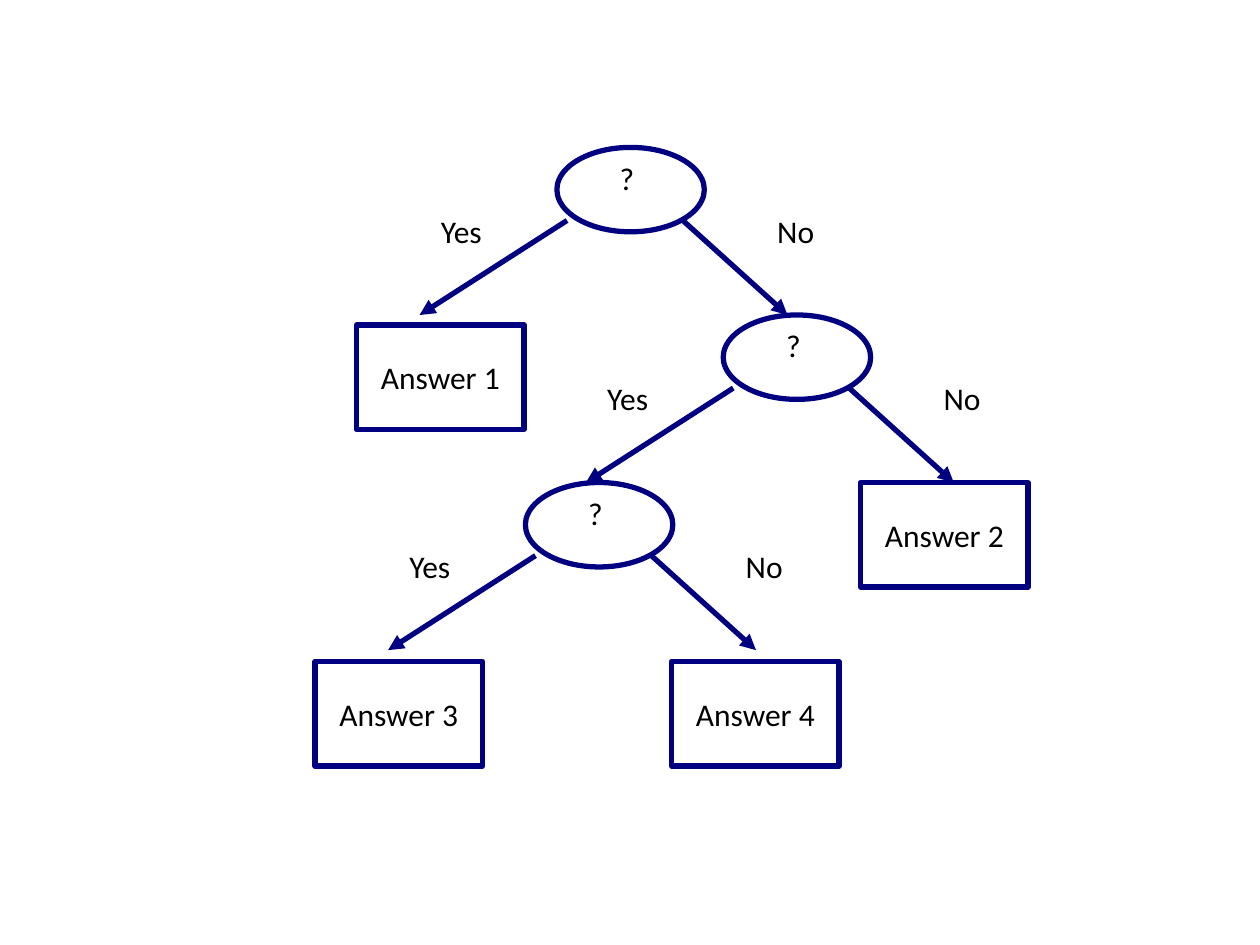
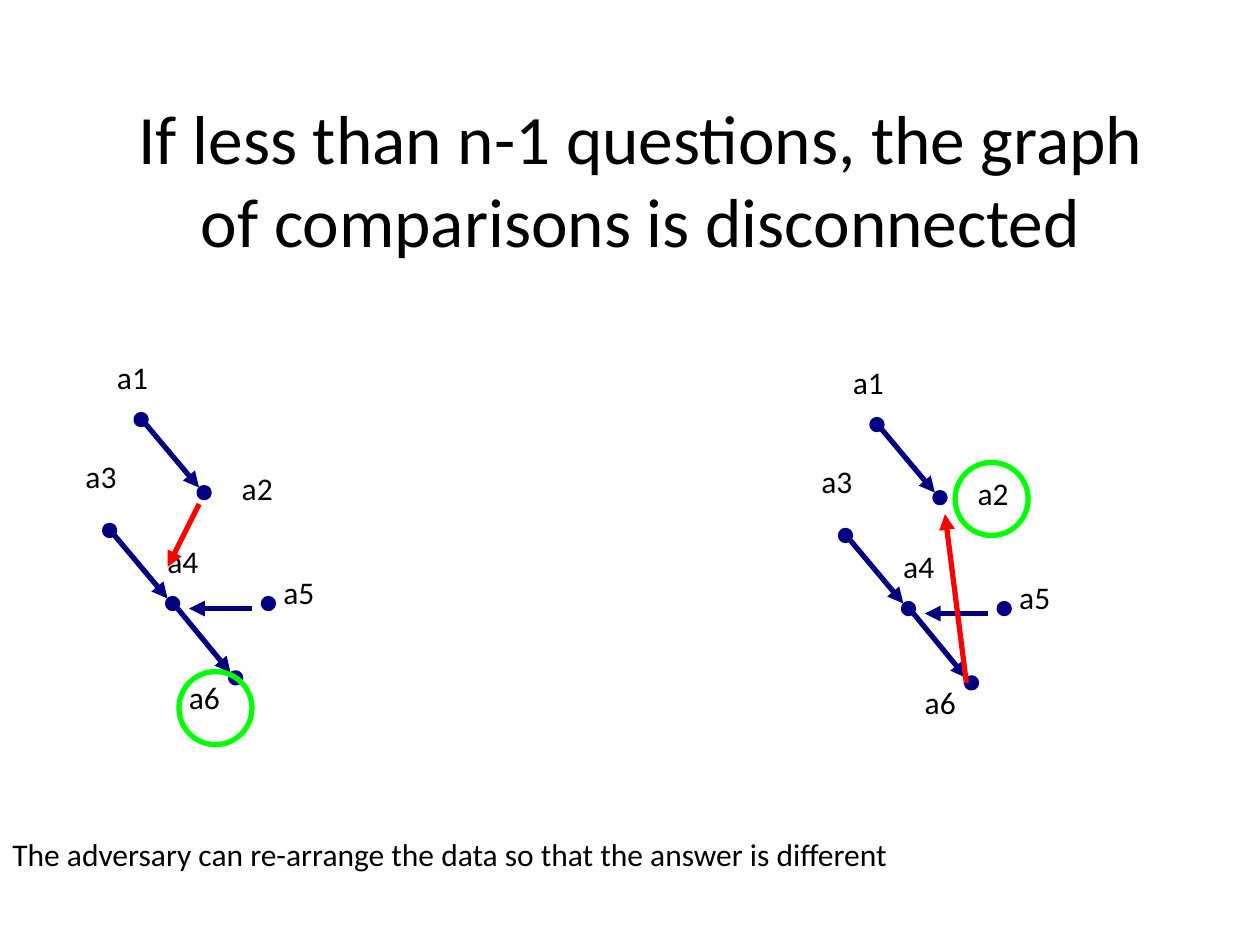
"""Build two slides: a decision tree and a pair of disconnected comparison graphs."""
from lxml.etree import SubElement
from pptx import Presentation
from pptx.dml.color import RGBColor
from pptx.enum.shapes import MSO_CONNECTOR, MSO_SHAPE
from pptx.enum.text import MSO_ANCHOR, MSO_AUTO_SIZE, PP_ALIGN
from pptx.oxml.ns import qn
from pptx.util import Inches, Pt

NAVY, RED, GREEN, BLACK = "000080", "FF0000", "00FF00", "000000"
STROKE = Pt(3)
BODY_FONT = {"name": "Calibri", "size": Pt(18)}
TITLE_FONT = {"name": "Calibri", "size": Pt(39.6)}
LABEL_FRAME = {"word_wrap": False, "auto_size": MSO_AUTO_SIZE.SHAPE_TO_FIT_TEXT}
CAPTION_FRAME = {"word_wrap": True, "auto_size": MSO_AUTO_SIZE.SHAPE_TO_FIT_TEXT}
BOX_FRAME = {"word_wrap": False, "vertical_anchor": MSO_ANCHOR.MIDDLE}
TITLE_FRAME = {"word_wrap": True, "auto_size": MSO_AUTO_SIZE.NONE,
               "vertical_anchor": MSO_ANCHOR.MIDDLE}


def write(part, text, frame_format, font_format=BODY_FONT, align=PP_ALIGN.LEFT):
    """Put formatted text into a shape, text box or placeholder."""
    frame = part.text_frame
    frame.text = text
    paragraph = frame.paragraphs[0]
    paragraph.alignment = align
    for target, formats in ((frame, frame_format), (paragraph.font, font_format)):
        for attribute, value in formats.items():
            setattr(target, attribute, value)
    paragraph.font.color.rgb = RGBColor.from_string(BLACK)


def draw(slide, kind, start, extent, colour=NAVY, filled=False):
    """Draw an outlined shape of a given size, or an arrow to a given point if kind is None."""
    corners = [Inches(value) for value in (*start, *extent)]
    if kind is None:
        part = slide.shapes.add_connector(MSO_CONNECTOR.STRAIGHT, *corners)
    else:
        part = slide.shapes.add_shape(kind, *corners)
        part.shadow.inherit = False
        if filled:
            part.fill.solid()
            part.fill.fore_color.rgb = RGBColor.from_string(colour)
        else:
            part.fill.background()
    part.line.color.rgb = RGBColor.from_string(colour)
    part.line.width = STROKE
    if kind is None:
        properties = part._element.spPr
        SubElement(properties.find(qn("a:ln")), qn("a:tailEnd"), type="triangle")
        SubElement(properties, qn("a:effectLst"))
    return part


deck = Presentation()
deck.slide_width, deck.slide_height = Inches(10), Inches(7.5)

tree = deck.slides.add_slide(deck.slide_layouts[6])
branches = [((0.08, 0.58), (-1.09, 1.33)), ((1, 0.58), (1.83, 1.33))]
branch_labels = [("?", 0.4, 0.04, 0.35), ("Yes", -1.02, 0.46, 0.72), ("No", 1.65, 0.46, 0.61)]
for x, y in [(4.42, 1.17), (4.17, 3.83), (5.74, 2.5)]:
    draw(tree, MSO_SHAPE.OVAL, (x, y), (1.17, 0.67))
    for (x1, y1), (x2, y2) in branches:
        draw(tree, None, (x + x1, y + y1), (x + x2, y + y2))
    for text, dx, dy, width in branch_labels:
        label = tree.shapes.add_textbox(Inches(x + dx), Inches(y + dy), Inches(width), Inches(0.5))
        write(label, text, LABEL_FRAME)

answers = [(2.83, 2.58), (6.83, 3.83), (2.5, 5.25), (5.33, 5.25)]
for number, corner in enumerate(answers, 1):
    answer = draw(tree, MSO_SHAPE.RECTANGLE, corner, (1.33, 0.83))
    write(answer, f"Answer {number}", BOX_FRAME, align=PP_ALIGN.CENTER)

graphs = deck.slides.add_slide(deck.slide_layouts[5])
title = graphs.shapes.title
title.left, title.top, title.width, title.height = map(Inches, (0.75, 0.5, 8.67, 1.83))
write(title, "If less than n-1 questions, the graph of comparisons is disconnected",
      TITLE_FRAME, TITLE_FONT, PP_ALIGN.CENTER)
caption = graphs.shapes.add_textbox(Inches(0), Inches(6.58), Inches(10), Inches(0.5))
write(caption, "The adversary can re-arrange the data so that the answer is different", CAPTION_FRAME)

DOT = 0.08
nodes = {
    "a1": ((0.25, 0.5), (0, 0)),
    "a2": ((0.75, 1.08), (0.99, 0.88)),
    "a3": ((0, 1.38), (-0.25, 0.79)),
    "a4": ((0.5, 1.96), (0.4, 1.46)),
    "a5": ((1.26, 1.96), (1.32, 1.71)),
    "a6": ((1, 2.55), (0.57, 2.54)),
}
comparisons = [("a1", "a2"), ("a3", "a4"), ("a4", "a6")]
for x, y in [(0.83, 2.79), (6.67, 2.83)]:
    for name, ((dot_x, dot_y), (label_x, label_y)) in nodes.items():
        draw(graphs, MSO_SHAPE.OVAL, (x + dot_x, y + dot_y), (DOT, DOT), filled=True)
        label = graphs.shapes.add_textbox(
            Inches(x + label_x), Inches(y + label_y), Inches(0.52), Inches(0.5))
        write(label, name, LABEL_FRAME)
    for lower, higher in comparisons:
        (x1, y1), (x2, y2) = nodes[lower][0], nodes[higher][0]
        draw(graphs, None, (x + x1 + DOT, y + y1 + DOT), (x + x2, y + y2))
    draw(graphs, None, (x + 1.17, y + 2.04), (x + 0.67, y + 2.04))

adversary_moves = [((7.67, 5.42), (7.5, 4.08), (7.58, 3.67)),
                   ((1.58, 4), (1.33, 4.5), (1.42, 5.33))]
for start, end, new_answer in adversary_moves:
    draw(graphs, None, start, end, RED)
    draw(graphs, MSO_SHAPE.OVAL, new_answer, (0.58, 0.58), GREEN)

deck.save("out.pptx")
